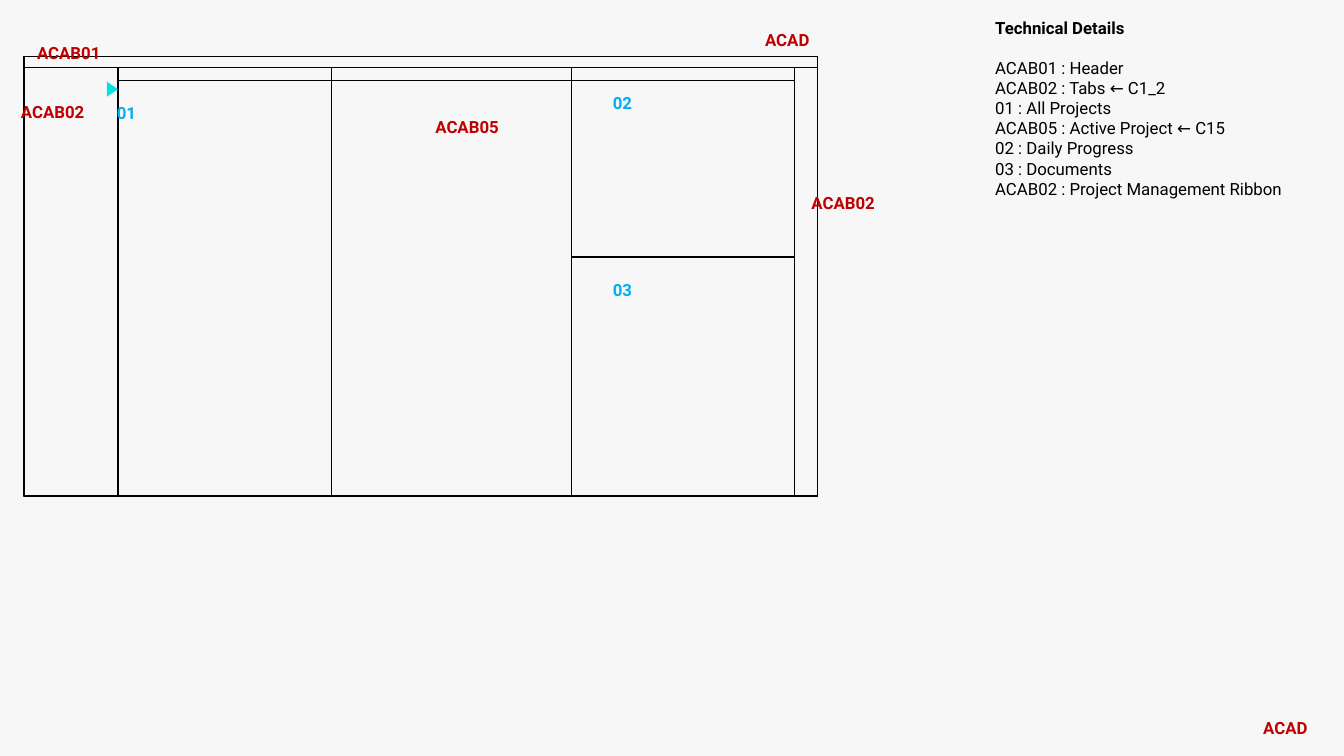
from dataclasses import dataclass
from lxml.etree import SubElement
from pptx import Presentation
from pptx.dml.color import RGBColor as RGB
from pptx.enum.shapes import MSO_SHAPE as SHAPE
from pptx.enum.text import MSO_ANCHOR as ANCHOR, MSO_AUTO_SIZE as FIT, PP_ALIGN as ALIGN
from pptx.oxml.ns import qn
from pptx.util import Inches, Pt

TITLE = "Technical Details"
DETAILS = [
    "ACAB01 : Header",
    "ACAB02 : Tabs ← C1_2",
    "01 : All Projects",
    "ACAB05 : Active Project ← C15",
    "02 : Daily Progress",
    "03 : Documents",
    "ACAB02 : Project Management Ribbon",
]
COLS = [0.24, 1.17, 3.29, 5.67, 7.88, 8.11]
ROWS = [0.56, 0.67, 0.8, 2.55, 4.92]
PANELS = [
    (0, 0, 5, 4),
    (0, 0, 5, 1),
    (0, 1, 1, 4),
    (1, 1, 2, 4),
    (2, 1, 3, 4),
    (3, 1, 4, 3),
    (3, 3, 4, 4),
    (4, 1, 5, 4),
    (1, 1, 4, 2),
]
MARKER = (1.04, 0.83, 0.15, 0.11)
LABELS = [
    ("ACAB01", 0.27, 0.37, 0.93, "code"),
    ("ACAB02", 0.11, 0.96, 0.95, "code"),
    ("01", 1.06, 0.97, 0.79, "number"),
    ("ACAB05", 4.22, 1.11, 0.89, "code"),
    ("02", 5.98, 0.87, 0.79, "number"),
    ("ACAD", 7.49, 0.25, 0.79, "code"),
    ("ACAD", 12.43, 7.07, 0.79, "code"),
    ("03", 5.98, 2.73, 0.79, "number"),
    ("ACAB02", 7.95, 1.86, 0.89, "code"),
]
NOTES_X, NOTES_Y, NOTES_W = 9.77, 0.13, 3.45
LIST_Y = 0.52
LINE_H = 0.2
BOX_H = LINE_H + 0.1


@dataclass(frozen=True)
class Theme:
    font: str = "Roboto"
    size: int = 12
    line: int = 1
    back: str = "F7F7F7"
    ink: str = "000000"
    code: str = "C00000"
    number: str = "00B0F0"
    marker: str = "05E1E7"


theme = Theme()


def place(sp, x, y, w, h):
    sp.left, sp.top, sp.width, sp.height = map(Inches, (x, y, w, h))


def write(sp, lines, color, bold):
    tf = sp.text_frame
    tf.word_wrap = True
    tf.auto_size = FIT.NONE
    tf.vertical_anchor = ANCHOR.TOP
    for i, line in enumerate(lines):
        p = tf.paragraphs[0] if i == 0 else tf.add_paragraph()
        p.alignment = ALIGN.LEFT
        p.line_spacing = 1.0
        p.space_before = p.space_after = Pt(0)
        r = p.add_run()
        r.text = line
        r.font.name, r.font.size, r.font.bold = theme.font, Pt(theme.size), bold
        r.font.color.rgb = RGB.from_string(color)


def add_panel(s, c0, r0, c1, r1):
    x, y = COLS[c0], ROWS[r0]
    box = map(Inches, (x, y, COLS[c1] - x, ROWS[r1] - y))
    sp = s.shapes.add_shape(SHAPE.RECTANGLE, *box)
    sp.shadow.inherit = False
    sp.fill.background()
    sp.line.color.rgb = RGB.from_string(theme.ink)
    sp.line.width = Pt(theme.line)


def add_marker(s):
    sp = s.shapes.add_shape(SHAPE.ISOSCELES_TRIANGLE, *map(Inches, MARKER))
    sp.rotation = 90
    sp.shadow.inherit = False
    sp.fill.solid()
    sp.fill.fore_color.rgb = RGB.from_string(theme.marker)
    sp.line.fill.background()


def add_details(s):
    title, body = s.shapes.title, s.placeholders[1]
    place(title, NOTES_X, NOTES_Y, NOTES_W, BOX_H)
    write(title, [TITLE], theme.ink, True)
    place(body, NOTES_X, LIST_Y, NOTES_W, LINE_H * len(DETAILS) + 0.1)
    write(body, DETAILS, theme.ink, False)
    for p in body.text_frame.paragraphs:
        pPr = p._p.get_or_add_pPr()
        pPr.set("marL", "0")
        pPr.set("indent", "0")
        SubElement(pPr, qn("a:buNone"))


def main():
    prs = Presentation()
    prs.slide_width, prs.slide_height = Inches(13.33), Inches(7.5)
    s = prs.slides.add_slide(prs.slide_layouts[1])
    s.background.fill.solid()
    s.background.fill.fore_color.rgb = RGB.from_string(theme.back)
    add_details(s)
    for cells in PANELS:
        add_panel(s, *cells)
    add_marker(s)
    for text, x, y, w, kind in LABELS:
        sp = s.shapes.add_textbox(*map(Inches, (x, y, w, BOX_H)))
        write(sp, [text], getattr(theme, kind), True)
    prs.save("out.pptx")


if __name__ == "__main__":
    main()
